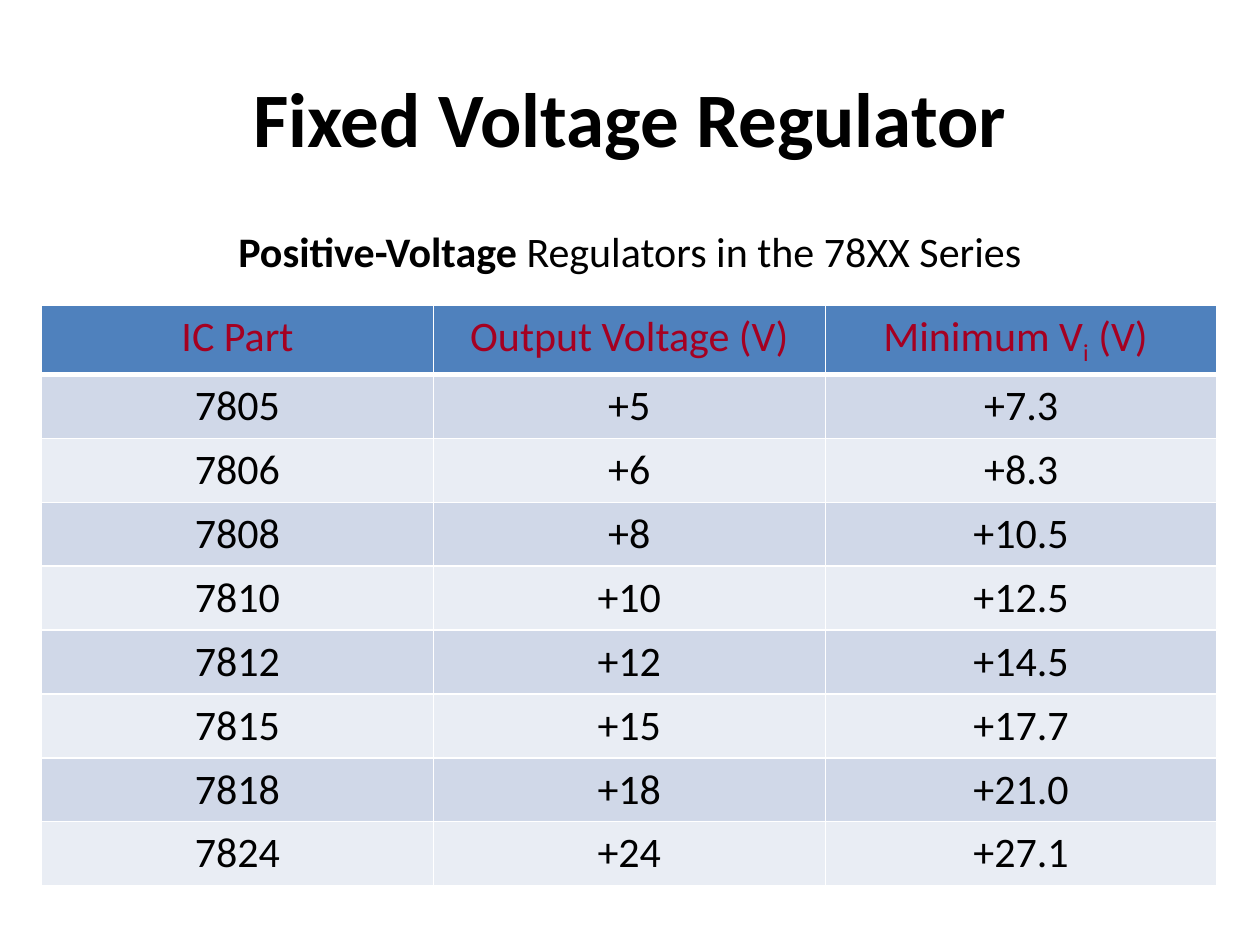
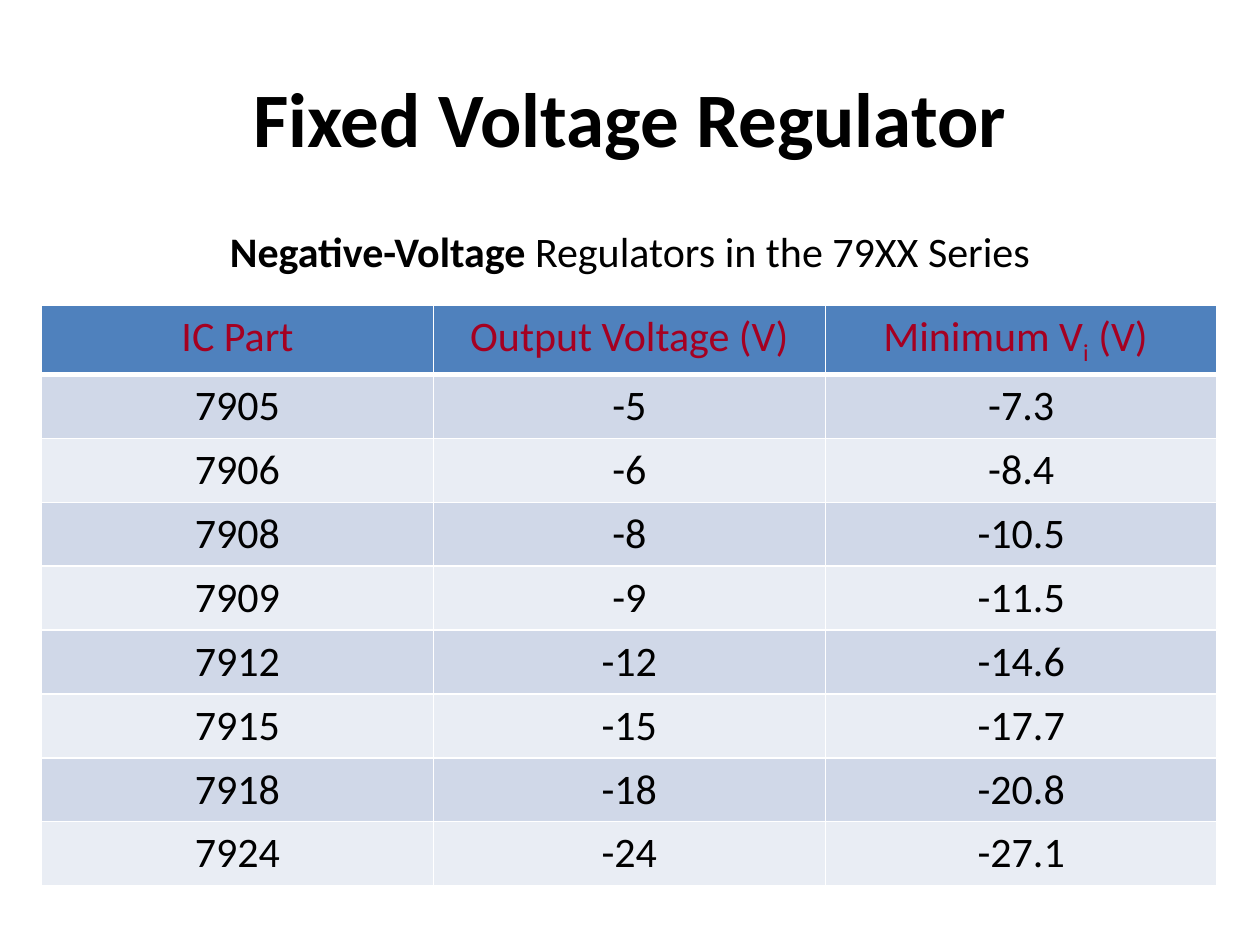
import pptx
import pptx.dml.color
import pptx.enum.text
import pptx.oxml
import pptx.oxml.ns
import pptx.util
from pptx.util import Inches

# Content
TITLE = "Fixed Voltage Regulator"
HEADERS = [
    [("IC Part", False)],
    [("Output Voltage (V)", False)],
    [("Minimum V", False), ("i", True), (" (V)", False)],  # True marks a subscript
]
SERIES = [
    {
        "polarity": "Positive-Voltage ",
        "caption": "Regulators in the 78XX Series",
        "parts": [
            ("7805", "+5", "+7.3"),
            ("7806", "+6", "+8.3"),
            ("7808", "+8", "+10.5"),
            ("7810", "+10", "+12.5"),
            ("7812", "+12", "+14.5"),
            ("7815", "+15", "+17.7"),
            ("7818", "+18", "+21.0"),
            ("7824", "+24", "+27.1"),
        ],
    },
    {
        "polarity": "Negative-Voltage ",
        "caption": "Regulators in the 79XX Series",
        "parts": [
            ("7905", "-5", "-7.3"),
            ("7906", "-6", "-8.4"),
            ("7908", "-8", "-10.5"),
            ("7909", "-9", "-11.5"),
            ("7912", "-12", "-14.6"),
            ("7915", "-15", "-17.7"),
            ("7918", "-18", "-20.8"),
            ("7924", "-24", "-27.1"),
        ],
    },
]

# Shared style
COLORS = {
    "text": "000000",
    "header_text": "A50021",
    "header": "4F81BD",
    "band_dark": "D0D8E8",
    "band_light": "E9EDF4",
    "grid": "FFFFFF",
}
FONT = "Calibri"
TITLE_SIZE, TEXT_SIZE = 44, 24
TABLE_LEFT, TABLE_TOP, COLUMN_WIDTH = 0.33, 2.42, 3.11
HEADER_HEIGHT, ROW_HEIGHT = 0.55, 0.5


def rgb(name):
    return pptx.dml.color.RGBColor.from_string(COLORS[name])


def style(para, size, color="text", bold=None):
    para.alignment = pptx.enum.text.PP_ALIGN.CENTER
    font = para.font
    font.name, font.size, font.bold = FONT, pptx.util.Pt(size), bold
    font.color.rgb = rgb(color)


def add_span(para, text):
    span = para.add_run()
    span.text = text
    return span


def set_borders(cell, bottom):
    """Draw the white grid; borders must come before the cell's fill."""
    properties = cell._tc.get_or_add_tcPr()
    widths = {"lnL": 1, "lnR": 1, "lnT": 1, "lnB": bottom}
    for position, (side, width) in enumerate(widths.items()):
        properties.insert(position, pptx.oxml.parse_xml(
            f'<a:{side} {pptx.oxml.ns.nsdecls("a")} w="{pptx.util.Pt(width)}">'
            f'<a:solidFill><a:srgbClr val="{COLORS["grid"]}"/></a:solidFill></a:{side}>'))


def fill_cell(cell, spans, fill, color="text", bottom=1):
    para = cell.text_frame.paragraphs[0]
    for text, subscript in spans:
        span = add_span(para, text)
        if subscript:
            span.font._element.set("baseline", "-25000")
    style(para, TEXT_SIZE, color, bold=False)
    cell.fill.solid()
    cell.fill.fore_color.rgb = rgb(fill)
    set_borders(cell, bottom)


def add_title(page):
    title = page.shapes.title
    title.left, title.top = Inches(0.5), Inches(0.3)
    title.width, title.height = Inches(9), Inches(1.25)
    title.text_frame.text = TITLE
    title.text_frame.vertical_anchor = pptx.enum.text.MSO_ANCHOR.MIDDLE
    style(title.text_frame.paragraphs[0], TITLE_SIZE, bold=True)


def add_parts_table(page, parts):
    frame = page.shapes.add_table(
        len(parts) + 1, len(HEADERS), Inches(TABLE_LEFT), Inches(TABLE_TOP),
        Inches(COLUMN_WIDTH * len(HEADERS)),
        Inches(HEADER_HEIGHT + ROW_HEIGHT * len(parts)))
    table = frame.table
    for column in table.columns:
        column.width = Inches(COLUMN_WIDTH)
    for index, row in enumerate(table.rows):
        row.height = Inches(ROW_HEIGHT if index else HEADER_HEIGHT)

    for column, spans in enumerate(HEADERS):
        fill_cell(table.cell(0, column), spans, "header", "header_text", bottom=3)
    # The last heading sits slightly left of centre
    table.cell(0, len(HEADERS) - 1).margin_right = Inches(0.19)

    for index, values in enumerate(parts, start=1):
        band = "band_dark" if index % 2 else "band_light"
        for column, value in enumerate(values):
            fill_cell(table.cell(index, column), [(value, False)], band,
                      bottom=1)


def add_caption(page, polarity, caption):
    box = page.shapes.add_textbox(Inches(0.25), Inches(1.74), Inches(9.5), Inches(0.51))
    box.text_frame.word_wrap = True
    para = box.text_frame.paragraphs[0]
    style(para, TEXT_SIZE)
    add_span(para, polarity).font.bold = True
    add_span(para, caption)


def main():
    deck = pptx.Presentation()
    deck.slide_width, deck.slide_height = Inches(10), Inches(7.5)
    title_only = deck.slide_layouts[5]
    for series in SERIES:
        page = deck.slides.add_slide(title_only)
        add_title(page)
        add_parts_table(page, series["parts"])
        add_caption(page, series["polarity"], series["caption"])
    deck.save("out.pptx")


if __name__ == "__main__":
    main()
